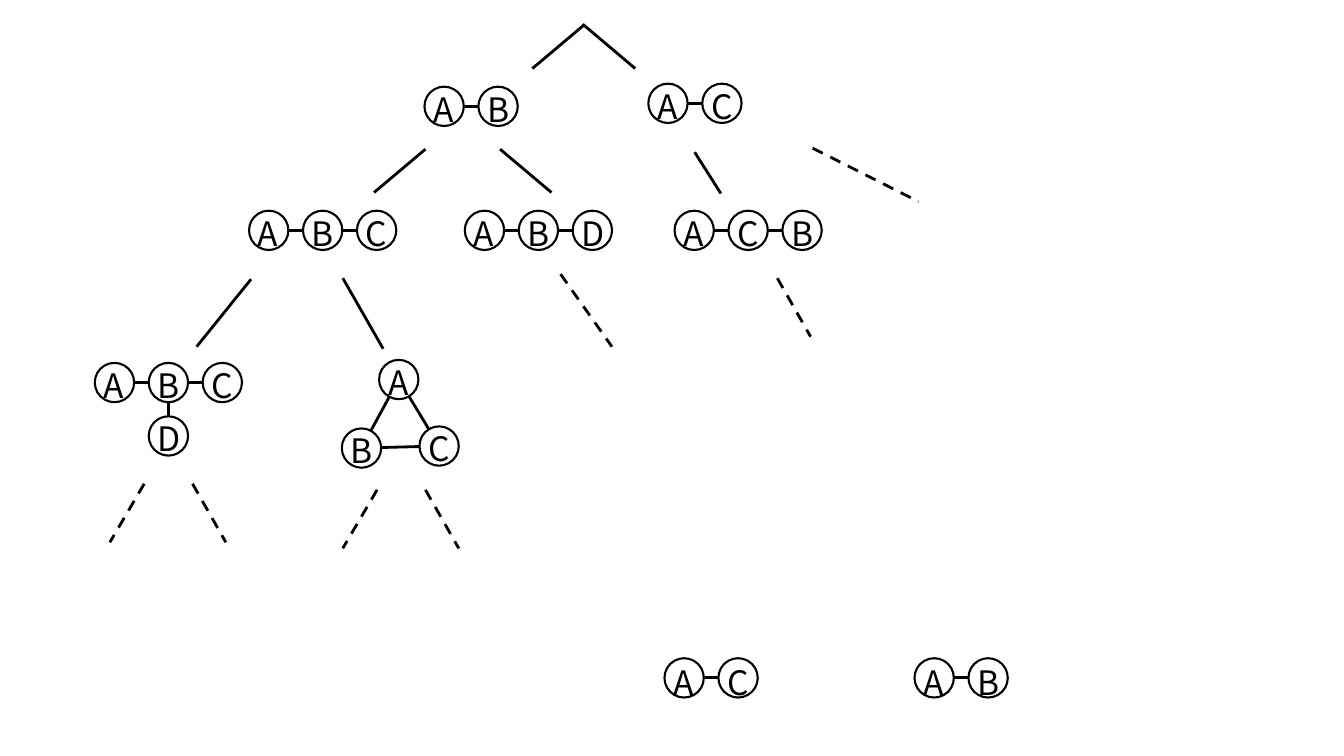
from dataclasses import dataclass
from math import hypot

from lxml import etree
from pptx import Presentation
from pptx import util as u
from pptx.dml.color import RGBColor
from pptx.enum import dml, shapes, text
from pptx.oxml.ns import qn


@dataclass(frozen=True)
class Theme:
    ink: RGBColor = RGBColor(0, 0, 0)
    font: str = "Noto Sans CJK JP"
    label_size: int = 24
    ring_width: float = 1.5
    line_width: float = 2


THEME = Theme()
DIAMETER = 0.39
PITCH = 1.07 / 2  # distance between neighbouring circles
LABEL_WIDTHS = {"A": 0.42, "B": 0.43, "C": 0.43, "D": 0.45}
LABEL_HEIGHT = 0.5

# Fragment shapes: circle offsets in inches and the joined pairs
PAIR = [(0, 0), (PITCH, 0)], [(0, 1)]
CHAIN = [(0, 0), (PITCH, 0), (2 * PITCH, 0)], [(0, 1), (1, 2)]
STAR = CHAIN[0] + [(PITCH, 0.53)], CHAIN[1] + [(1, 3)]
TRIANGLE = [(0.37, 0), (0, 0.68), (0.77, 0.66)], [(0, 1), (0, 2), (1, 2)]

# Letters, left, top, shape
TREE_FRAGMENTS = [
    ("AB", 4.21, 0.86, PAIR),
    ("AC", 6.43, 0.83, PAIR),
    ("ABC", 2.47, 2.09, CHAIN),
    ("ABD", 4.61, 2.09, CHAIN),
    ("ACB", 6.69, 2.09, CHAIN),
    ("ABCD", 0.94, 3.6, STAR),
    ("ABC", 3.39, 3.57, TRIANGLE),
]
LOOSE_FRAGMENTS = [("AC", 6.59, 6.53, PAIR), ("AB", 9.07, 6.53, PAIR)]

# Start x, start y, width, height
BRANCHES = [
    (5.78, 0.24, 0.52, 0.44),
    (5.79, 0.25, -0.51, 0.43),
    (4.22, 1.48, -0.51, 0.43),
    (4.96, 1.48, 0.51, 0.43),
    (6.89, 1.51, 0.26, 0.41),
    (2.49, 2.77, -0.54, 0.67),
    (3.4, 2.76, 0.4, 0.7),
]
OPEN_BRANCHES = [
    (8.06, 1.47, 1.05, 0.53),
    (5.56, 2.72, 0.51, 0.72),
    (7.71, 2.76, 0.33, 0.58),
    (1.43, 4.8, -0.34, 0.58),
    (1.91, 4.8, 0.33, 0.58),
    (3.74, 4.86, -0.34, 0.58),
    (4.22, 4.86, 0.33, 0.58),
]


def add_line(parent, x1, y1, x2, y2, dashed=False):
    line = parent.add_connector(
        shapes.MSO_CONNECTOR.STRAIGHT, *map(u.Inches, (x1, y1, x2, y2)))
    line.line.color.rgb = THEME.ink
    line.line.width = u.Pt(THEME.line_width)
    if dashed:
        line.line.dash_style = dml.MSO_LINE.DASH
    etree.SubElement(line._element.spPr, qn("a:effectLst"))


def add_ring(parent, x, y):
    sp = parent.add_shape(
        shapes.MSO_SHAPE.OVAL, *map(u.Inches, (x, y, DIAMETER, DIAMETER)))
    sp.shadow.inherit = False
    sp.fill.background()
    sp.line.color.rgb = THEME.ink
    sp.line.width = u.Pt(THEME.ring_width)


def add_label(parent, x, y, label, *, size, color, font):
    sp = parent.add_textbox(
        *map(u.Inches, (x, y, LABEL_WIDTHS[label], LABEL_HEIGHT)))
    tf = sp.text_frame
    tf.word_wrap = False
    tf.auto_size = text.MSO_AUTO_SIZE.SHAPE_TO_FIT_TEXT
    r = tf.paragraphs[0].add_run()
    r.text = label
    r.font.size = u.Pt(size)
    r.font.name = font
    r.font.color.rgb = color


def add_edge(parent, start, end):
    """Join two circles from rim to rim."""
    dx, dy = end[0] - start[0], end[1] - start[1]
    radius = DIAMETER / 2
    trim = radius / hypot(dx, dy)
    x, y = start[0] + radius, start[1] + radius
    add_line(parent, x + dx * trim, y + dy * trim,
             x + dx * (1 - trim), y + dy * (1 - trim))


def add_fragment(slide, letters, left, top, shape, rise):
    """Draw one labelled fragment as a group; rise lifts its letters."""
    offsets, edges = shape
    spots = [(left + dx, top + dy) for dx, dy in offsets]
    parent = slide.shapes.add_group_shape().shapes
    for letter, (x, y) in zip(letters, spots):
        add_ring(parent, x, y)
        add_label(parent, x - 0.01, y - rise, letter, size=THEME.label_size,
                  color=THEME.ink, font=THEME.font)
    for a, b in edges:
        add_edge(parent, spots[a], spots[b])


def add_search_tree(slide):
    for fragment in TREE_FRAGMENTS:
        add_fragment(slide, *fragment, rise=0.03)
    for branches, dashed in ((BRANCHES, False), (OPEN_BRANCHES, True)):
        for x, y, w, h in branches:
            add_line(slide.shapes, x, y, x + w, y + h, dashed)


def add_loose_fragments(slide):
    for fragment in LOOSE_FRAGMENTS:
        add_fragment(slide, *fragment, rise=0.01)


def main():
    prs = Presentation()
    prs.slide_width, prs.slide_height = u.Inches(13.33), u.Inches(7.5)
    slide = prs.slides.add_slide(prs.slide_layouts[6])
    add_loose_fragments(slide)
    add_search_tree(slide)
    prs.save("out.pptx")


if __name__ == "__main__":
    main()
